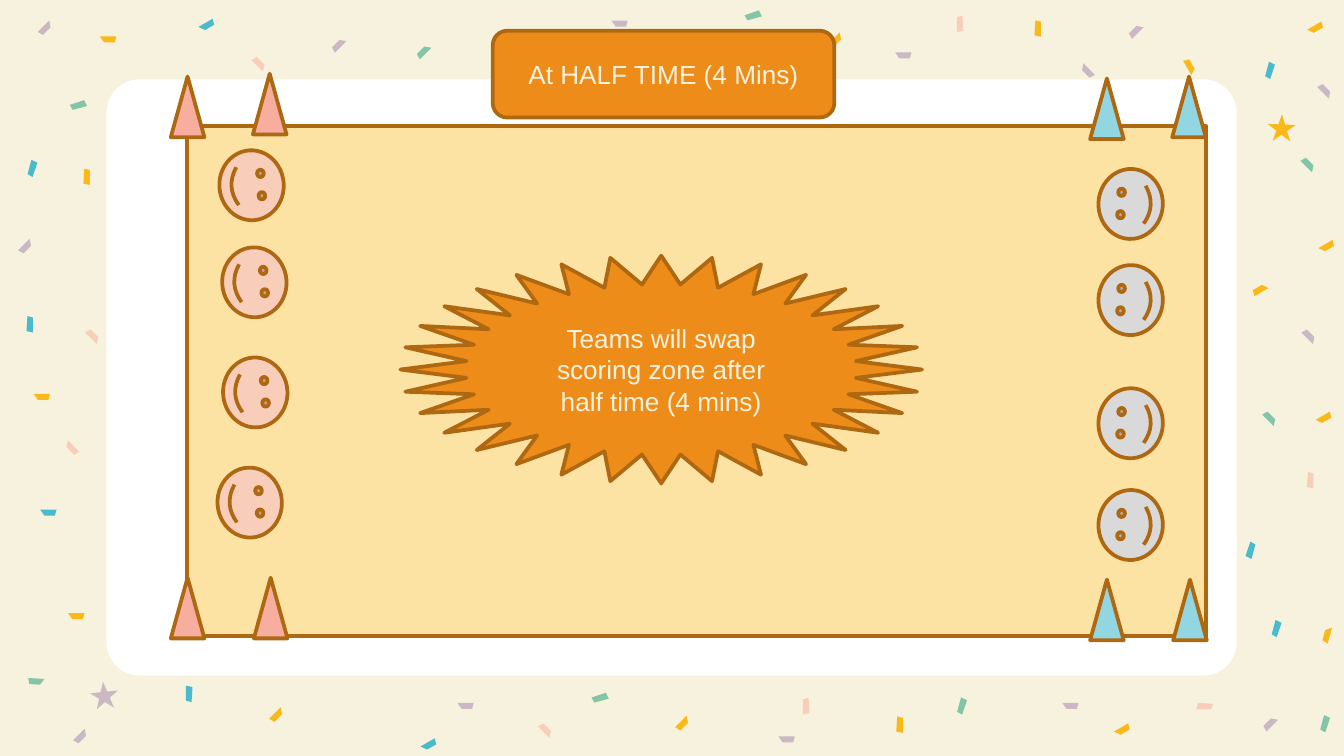
"""Builds the half-time slide: a court with cones, two teams and a swap notice."""
import pptx
import pptx.dml.color
import pptx.enum.shapes
import pptx.enum.text
import pptx.util

Pt = pptx.util.Pt
KIND = pptx.enum.shapes.MSO_SHAPE

theme = {
    "cream": "F7F2DD", "white": "FFFFFF", "sand": "FDE3A3", "orange": "ED8C18",
    "brown": "AF6812", "coral": "F7AE9F", "sky": "92D6E1", "gray": "D9D9D9",
    "pink": "F8CEBB", "blue": "4ABACD", "lilac": "CAB8C5", "gold": "FAB919",
    "green": "85C5A7", "font": "Arial", "size": 14, "line": 2,
}


def paint(shape, fill, turn=0, line=None):
    shape.shadow.inherit = False
    shape.rotation = turn
    shape.fill.solid()
    shape.fill.fore_color.rgb = pptx.dml.color.RGBColor.from_string(theme[fill])
    if line:
        shape.line.color.rgb = pptx.dml.color.RGBColor.from_string(theme[line])
        shape.line.width = Pt(theme["line"])
    else:
        shape.line.fill.background()
    return shape


def draw(kind, box, fill, turn=0, line="brown"):
    shape = slide.shapes.add_shape(kind, *[Pt(side) for side in box])
    return paint(shape, fill, turn, line)


deck = pptx.Presentation()
deck.slide_width, deck.slide_height = Pt(720), Pt(405)
slide = deck.slides.add_slide(deck.slide_layouts[6])
slide.background.fill.solid()
slide.background.fill.fore_color.rgb = pptx.dml.color.RGBColor.from_string(theme["cream"])

wedge = [(79, 32), (22, 32), (0, 0), (88, 0)]
strip = [(81, 35), (0, 30), (8, 0), (88, 0)]
confetti = [
    (wedge, 45, False, False, [(34, 238.5, "pink"), (578, 36.5, "lilac")]),
    (wedge, 225, False, False, [
        (697, 178.5, "lilac"), (288, 389.5, "pink"), (676, 222.5, "green"),
        (696.5, 86.5, "green"), (705.5, 47, "lilac"), (45.5, 178.5, "pink"),
        (134.5, 32.5, "pink")]),
    (wedge, 240, False, False, [(633, 34, "gold")]),
    (wedge, 330, False, False, [
        (597, 389.5, "gold"), (705, 222.5, "gold"), (225.5, 397.5, "blue"),
        (706.5, 130.5, "gold"), (700.5, 13.5, "gold"), (106.5, 12, "blue")]),
    (wedge, 150, False, False, [(670.5, 153.5, "gold")]),
    (wedge, 135, False, False, [
        (676, 386, "lilac"), (604, 15, "lilac"), (222.5, 26, "green"),
        (177, 22.5, "lilac")]),
    (wedge, 285, True, True, [(706.5, 338.5, "gold")]),
    (wedge, 180, True, True, [
        (417, 394.5, "lilac"), (569, 376.5, "lilac"), (245, 376.5, "lilac"),
        (36.5, 328.5, "gold"), (21.5, 273, "blue"), (18, 211, "gold"),
        (479.5, 28, "lilac"), (327.5, 11, "lilac"), (267, 17.5, "gold"),
        (53.5, 19.5, "gold")]),
    (wedge, 315, True, False, [
        (361.5, 386, "gold"), (144, 381.5, "gold"), (39, 393, "lilac"),
        (9.5, 130.5, "lilac"), (443.5, 20, "gold"), (20, 13.5, "lilac")]),
    (wedge, 3.4, True, False, [(15, 363.5, "green")]),
    (strip, 90, False, False, [
        (477.5, 386.5, "gold"), (697.5, 255.5, "pink"), (551.5, 13.5, "gold"),
        (11.5, 172, "blue"), (42, 93, "gold")]),
    (strip, 270, False, False, [(97, 370, "blue")]),
    (strip, 270, True, False, [(427.5, 376.5, "pink"), (510, 11, "pink")]),
    (strip, 180, False, False, [(641, 376.5, "pink")]),
    (strip, 285, False, False, [
        (705.5, 386, "green"), (511, 376.5, "green"), (679.5, 335, "blue"),
        (676, 36, "blue"), (13, 88.5, "blue")]),
    (strip, 165, True, False, [
        (317, 372, "green"), (399, 6.5, "green"), (37.5, 54.5, "green")]),
    (strip, 105, False, False, [(665.5, 293, "blue")]),
]
for form, turn, flop, flip, bits in confetti:
    wide = max(x for x, y in form)
    high = max(y for x, y in form)
    dots = [(wide - x if flop else x, high - y if flip else y) for x, y in form]
    for left, top, tint in bits:
        pen = slide.shapes.build_freeform(*dots[0], scale=Pt(0.1))
        pen.add_line_segments(dots[1:], close=True)
        paint(pen.convert_to_shape(Pt(left), Pt(top)), tint, turn)

for left, top, tint, turn in [(679.5, 62.5, "gold", 145.7), (48, 366.5, "lilac", 210.5)]:
    draw(KIND.STAR_5_POINT, (left, top, 15, 14.5), tint, turn, None)

card = draw(KIND.ROUNDED_RECTANGLE, (57, 42.5, 605.5, 319.5), "white", line=None)
card.adjustments[0] = 0.056
draw(KIND.RECTANGLE, (100, 67.5, 546, 273.5), "sand")

cones = {
    "coral": [(91.5, 41), (135.5, 39.5), (91.5, 309.5), (136, 309.5)],
    "sky": [(584, 42), (628, 41), (584, 310.5), (628.5, 310.5)],
}
for tint, spots in cones.items():
    for left, top in spots:
        draw(KIND.ISOSCELES_TRIANGLE, (left, top, 18, 32.5), tint)

teams = [
    ("gray", 272.9, [(587, 92), (587, 143.5), (587, 209.5), (587, 264)]),
    ("pink", 86.1, [(116, 82), (117.5, 134), (118, 193), (115, 252)]),
]
for tint, turn, spots in teams:
    for left, top in spots:
        draw(KIND.SMILEY_FACE, (left, top, 37.5, 34.5), tint, turn)

signs = [
    (KIND.STAR_32_POINT, (214.5, 137, 279.5, 122),
     "Teams will swap scoring zone after half time (4 mins)"),
    (KIND.ROUNDED_RECTANGLE, (264, 16.5, 183, 46.5), "At HALF TIME (4 Mins)"),
]
for kind, box, words in signs:
    frame = draw(kind, box, "orange").text_frame
    frame.word_wrap = True
    frame.vertical_anchor = pptx.enum.text.MSO_ANCHOR.MIDDLE
    frame.text = words
    para = frame.paragraphs[0]
    para.alignment = pptx.enum.text.PP_ALIGN.CENTER
    para.font.name = theme["font"]
    para.font.size = Pt(theme["size"])
    para.font.color.rgb = pptx.dml.color.RGBColor.from_string(theme["cream"])

deck.save("out.pptx")
